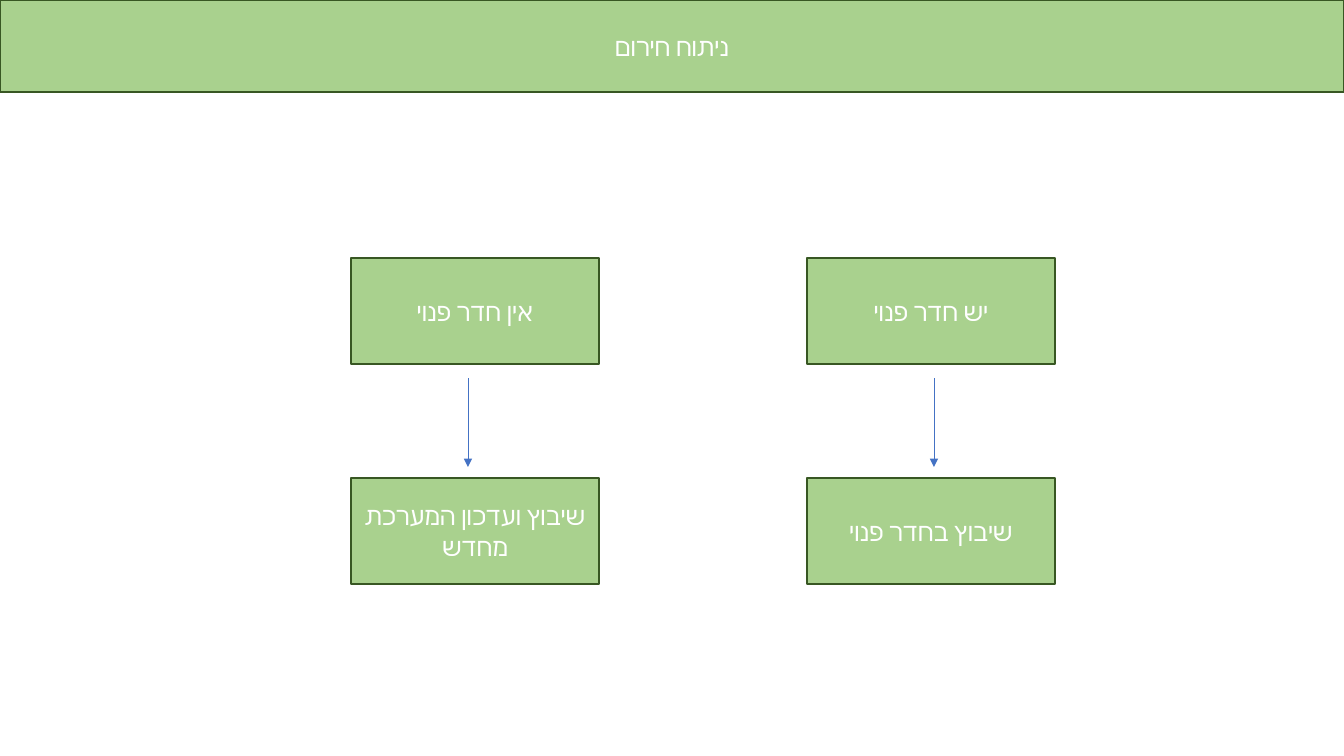
from lxml.etree import SubElement
from pptx import Presentation
from pptx.dml.color import RGBColor
from pptx.enum.shapes import MSO_CONNECTOR, MSO_SHAPE
from pptx.enum.text import MSO_ANCHOR, PP_ALIGN
from pptx.oxml.ns import qn
from pptx.util import Pt

SCALE = 914400 / 100.8
COLORS = {"fill": "A9D18E", "border": "385723", "text": "FFFFFF", "arrow": "4472C4"}
FONT = "Calibri"
SLIDE_W, SLIDE_H = 1344, 756
BOX_H, ARROW_TOP, ARROW_BOTTOM = 106, 120, 209


def px(n):
    """Turn pixels into EMU."""
    return round(n * SCALE)


def color(name):
    """Look up a named colour."""
    return RGBColor.from_string(COLORS[name])


def style_box(sp, text):
    """Give a box its green fill, border and centred right-to-left text."""
    sp.fill.solid()
    sp.fill.fore_color.rgb = color("fill")
    sp.line.color.rgb = color("border")
    sp.line.width = Pt(1)
    tf = sp.text_frame
    tf.word_wrap = True
    tf.vertical_anchor = MSO_ANCHOR.MIDDLE
    tf.text = text
    p = tf.paragraphs[0]
    p.alignment = PP_ALIGN.CENTER
    p.font.size = Pt(18)
    p.font.name = FONT
    p.font.color.rgb = color("text")
    pPr = p._p.get_or_add_pPr()
    pPr.set("rtl", "1")
    SubElement(pPr.find(qn("a:defRPr")), qn("a:cs"), typeface=FONT)


def add_banner(s, x, y, w, h, text):
    """Turn the title placeholder into the banner."""
    sp = s.shapes.title
    sp.left, sp.top, sp.width, sp.height = px(x), px(y), px(w), px(h)
    style_box(sp, text)


def add_arrow(s, x, top, bottom):
    """Draw a thin downward arrow."""
    cx = s.shapes.add_connector(MSO_CONNECTOR.STRAIGHT, px(x), px(top), px(x), px(bottom))
    cx.line.color.rgb = color("arrow")
    cx.line.width = Pt(0.5)
    SubElement(cx.line._get_or_add_ln(), qn("a:tailEnd"), type="triangle")
    SubElement(cx._element.spPr, qn("a:effectLst"))


def add_branch(s, x, y, w, h, arrow_x, condition, action):
    """Place a condition box at the top, its action at the bottom and an arrow between."""
    for top, text in ((y, condition), (y + h - BOX_H, action)):
        sp = s.shapes.add_shape(MSO_SHAPE.RECTANGLE, px(x), px(top), px(w), px(BOX_H))
        sp.shadow.inherit = False
        style_box(sp, text)
    add_arrow(s, x + arrow_x, y + ARROW_TOP, y + ARROW_BOTTOM)


prs = Presentation()
prs.slide_width, prs.slide_height = px(SLIDE_W), px(SLIDE_H)
s = prs.slides.add_slide(prs.slide_layouts[5])
add_banner(s, 0, 0, SLIDE_W, 92, "ניתוח חירום")
add_branch(s, 807, 258, 248, 326, 127, "יש חדר פנוי", "שיבוץ בחדר פנוי")
add_branch(s, 351, 258, 248, 326, 117, "אין חדר פנוי", "שיבוץ ועדכון המערכת מחדש")
prs.save("out.pptx")
